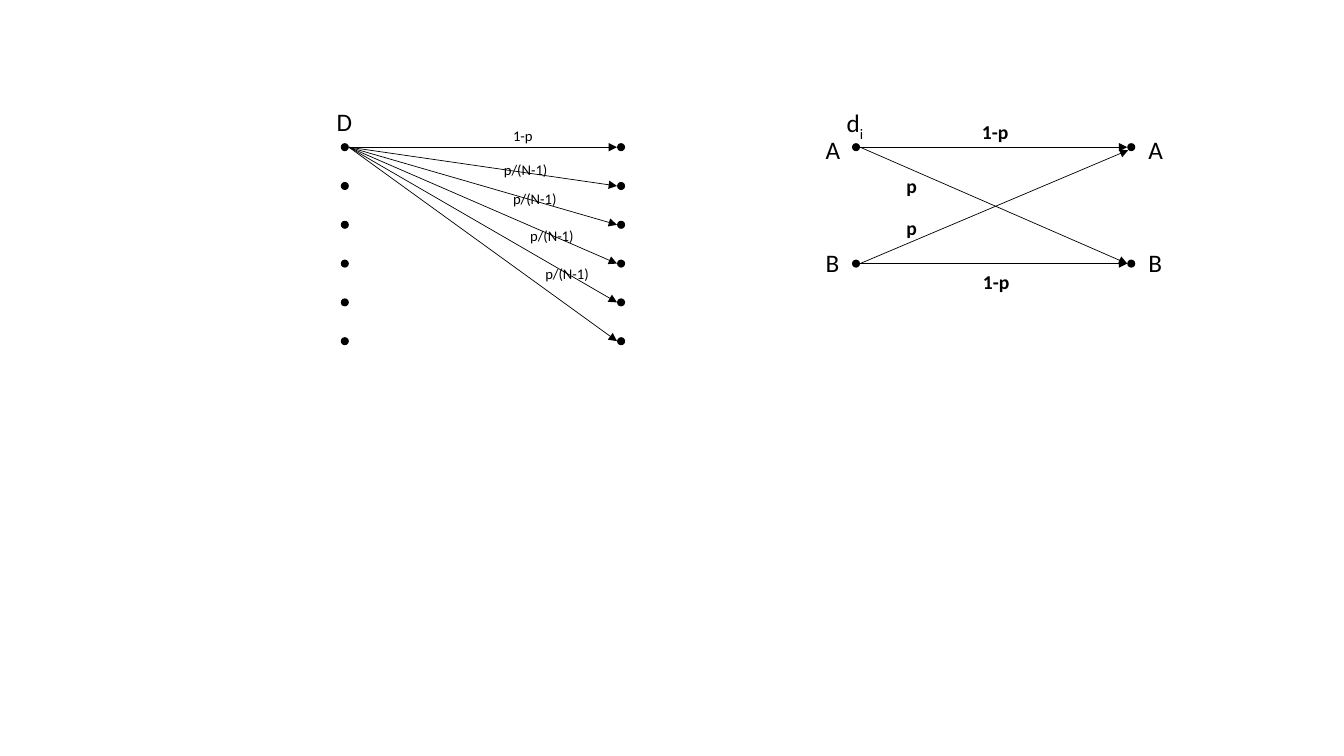
"""Build a slide with two symbol-error channel diagrams, N-ary and binary."""
from lxml import etree
from pptx import Presentation, util as u
from pptx.dml.color import RGBColor
from pptx.enum import shapes, text
from pptx.oxml.ns import qn

THEME = {"font": "Calibri", "ink": RGBColor(0, 0, 0), "symbol": 18,
         "binary": 14, "nary": 10.5, "line": 0.5}
DOT = 0.08
TOP = 1.46
STEP = 0.385

NARY_X = (3.42, 6.16)
NARY_ROWS = 6
NARY_LABELS = [("1-p", 4.99, 1.21, 0.41), ("p/(N-1)", 4.9, 1.55, 0.66),
               ("p/(N-1)", 4.99, 1.83, 0.66), ("p/(N-1)", 5.16, 2.2, 0.66),
               ("p/(N-1)", 5.31, 2.58, 0.66)]

BINARY_X = (8.49, 11.22)
BINARY_ROWS = (0, 3)
BINARY_PATHS = [(0, 0), (0, 3), (3, 3)]
BINARY_LABELS = [("1-p", 9.64, 1.14, 0.46), ("p", 8.89, 1.68, 0.31),
                 ("p", 8.89, 2.09, 0.31), ("1-p", 9.65, 2.63, 0.46)]
SYMBOLS = [("A", 1.28), ("B", 2.4)]
SYMBOL_X = (8.09, 11.29)

deck = Presentation()
deck.slide_width, deck.slide_height = u.Inches(13.33), u.Inches(7.5)
slide = deck.slides.add_slide(deck.slide_layouts[6])


def row_y(row):
    return TOP + row * STEP


def add_dot(x, row):
    dot = slide.shapes.add_shape(
        shapes.MSO_SHAPE.OVAL, u.Inches(x - DOT / 2),
        u.Inches(row_y(row) - DOT / 2), u.Inches(DOT), u.Inches(DOT))
    dot.shadow.inherit = False
    dot.fill.solid()
    dot.fill.fore_color.rgb = THEME["ink"]
    dot.line.fill.background()


def add_arrow(x1, y1, x2, y2):
    arrow = slide.shapes.add_connector(
        shapes.MSO_CONNECTOR.STRAIGHT, *map(u.Inches, (x1, y1, x2, y2)))
    arrow.line.color.rgb = THEME["ink"]
    arrow.line.width = u.Pt(THEME["line"])
    outline = arrow.line._get_or_add_ln()
    etree.SubElement(outline, qn("a:tailEnd"), type="triangle")
    etree.SubElement(arrow._element.spPr, qn("a:effectLst"))


def add_path(columns, start, end):
    add_arrow(columns[0] + DOT / 2, row_y(start),
              columns[1] - DOT / 2, row_y(end))


def add_text(words, x, y, width, height, *, size, bold=False, wrap=False,
             subscript=""):
    box = slide.shapes.add_textbox(*map(u.Inches, (x, y, width, height)))
    frame = box.text_frame
    frame.word_wrap = wrap
    frame.auto_size = text.MSO_AUTO_SIZE.SHAPE_TO_FIT_TEXT
    for part in filter(None, (words, subscript)):
        run = frame.paragraphs[0].add_run()
        run.text = part
        run.font.name = THEME["font"]
        run.font.size = u.Pt(THEME[size])
        run.font.bold = bold
        run.font.color.rgb = THEME["ink"]
    if subscript:
        run.font._element.set("baseline", "-25000")


for columns, rows in ((NARY_X, range(NARY_ROWS)), (BINARY_X, BINARY_ROWS)):
    for x in columns:
        for row in rows:
            add_dot(x, row)

for row in range(NARY_ROWS):
    add_path(NARY_X, 0, row)
for start, end in BINARY_PATHS:
    add_path(BINARY_X, start, end)
add_arrow(BINARY_X[0] + DOT / 2, row_y(3), BINARY_X[1] - 0.03, TOP + 0.03)

for label, x, y, width in NARY_LABELS:
    add_text(label, x, y, width, 0.29, size="nary")
for label, x, y, width in BINARY_LABELS:
    add_text(label, x, y, width, 0.34, size="binary", bold=True)

add_text("D", 3.24, 1.01, 0.29, 0.4, size="symbol", wrap=True)
add_text("d", 8.3, 1.02, 0.6, 0.4, size="symbol", wrap=True, subscript="i")
for x in SYMBOL_X:
    for symbol, y in SYMBOLS:
        add_text(symbol, x, y, 0.29, 0.4, size="symbol", wrap=True)

deck.save("out.pptx")
